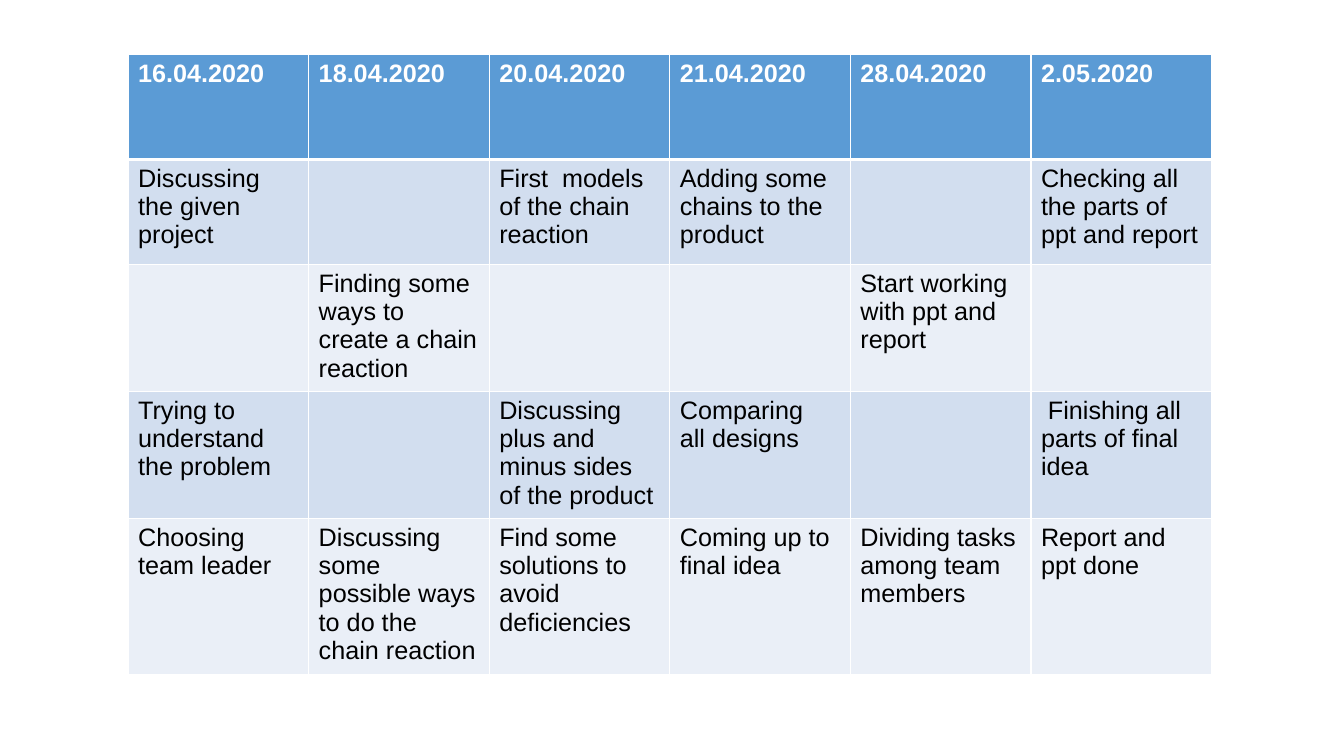
"""Build a one-slide project timeline table."""
from dataclasses import dataclass

from lxml import etree
from pptx import Presentation
from pptx import util as u
from pptx.dml.color import RGBColor
from pptx.oxml import ns

PX = 9525
WHITE = RGBColor(0xFF, 0xFF, 0xFF)
BLACK = RGBColor(0x00, 0x00, 0x00)
BLUE = RGBColor(0x5B, 0x9B, 0xD5)
BAND_DARK = RGBColor(0xD2, 0xDE, 0xEF)
BAND_LIGHT = RGBColor(0xEA, 0xEF, 0xF7)

LEFT, TOP, COL_WIDTH = 122, 52, 172
THIN, THICK = 1, 3


@dataclass(frozen=True)
class TableRow:
    """One row of the timeline: its height in px, fill and cell texts."""
    height: int
    fill: RGBColor
    texts: tuple[str, ...]
    header: bool = False


ROWS = (
    TableRow(100, BLUE, ("16.04.2020", "18.04.2020", "20.04.2020",
                         "21.04.2020", "28.04.2020", "2.05.2020"), header=True),
    TableRow(100, BAND_DARK, (
        "Discussing the given project", "",
        "First  models of the chain reaction",
        "Adding some  chains to the product", "",
        "Checking all the parts of ppt and report")),
    TableRow(121, BAND_LIGHT, (
        "", "Finding some ways to create a chain reaction", "", "",
        "Start working with ppt and report", "")),
    TableRow(121, BAND_DARK, (
        "Trying to understand the problem", "",
        "Discussing plus and minus sides of the product",
        "Comparing  all designs", "",
        " Finishing all parts of final idea")),
    TableRow(149, BAND_LIGHT, (
        "Choosing team leader",
        "Discussing some possible ways to do the chain reaction",
        "Find some solutions to avoid  deficiencies",
        "Coming up to final idea",
        "Dividing tasks among team members",
        "Report and ppt done")),
)


def px(n: int) -> u.Emu:
    """Turn px into EMU."""
    return u.Emu(n * PX)


def set_text(tf, value: str, *, color: RGBColor = BLACK, bold: bool = False,
             size: int = 18, font: str = "Arial") -> None:
    """Write one formatted run into a text frame."""
    r = tf.paragraphs[0].add_run()
    r.text = value
    r.font.name = font
    r.font.size = u.Pt(size)
    r.font.bold = bold
    r.font.color.rgb = color


def set_borders(cell, *, top: int = THIN, bottom: int = THIN) -> None:
    """Give a cell white borders, with widths in points."""
    tc_pr = cell._tc.get_or_add_tcPr()
    widths = {"a:lnL": THIN, "a:lnR": THIN, "a:lnT": top, "a:lnB": bottom}
    for i, (tag, width) in enumerate(widths.items()):
        ln = etree.Element(ns.qn(tag), w=str(u.Pt(width)))
        fill = etree.SubElement(ln, ns.qn("a:solidFill"))
        etree.SubElement(fill, ns.qn("a:srgbClr"), val=str(WHITE))
        tc_pr.insert(i, ln)


def add_timeline(slide, rows: tuple[TableRow, ...]) -> None:
    """Draw the timeline table."""
    n_cols = len(rows[0].texts)
    height = sum(row.height for row in rows)
    table = slide.shapes.add_table(len(rows), n_cols, px(LEFT), px(TOP),
                                   px(COL_WIDTH * n_cols), px(height)).table
    table.horz_banding = False
    for i, row in enumerate(rows):
        table.rows[i].height = px(row.height)
        below_header = i > 0 and rows[i - 1].header
        for j, value in enumerate(row.texts):
            cell = table.cell(i, j)
            cell.fill.solid()
            cell.fill.fore_color.rgb = row.fill
            set_borders(cell, top=THICK if below_header else THIN,
                        bottom=THICK if row.header else THIN)
            if value:
                set_text(cell.text_frame, value, bold=row.header,
                         color=WHITE if row.header else BLACK)


def main() -> None:
    """Build and save the presentation."""
    prs = Presentation()
    prs.slide_width, prs.slide_height = px(1280), px(720)
    slide = prs.slides.add_slide(prs.slide_layouts[6])
    add_timeline(slide, ROWS)
    prs.save("out.pptx")


if __name__ == "__main__":
    main()
